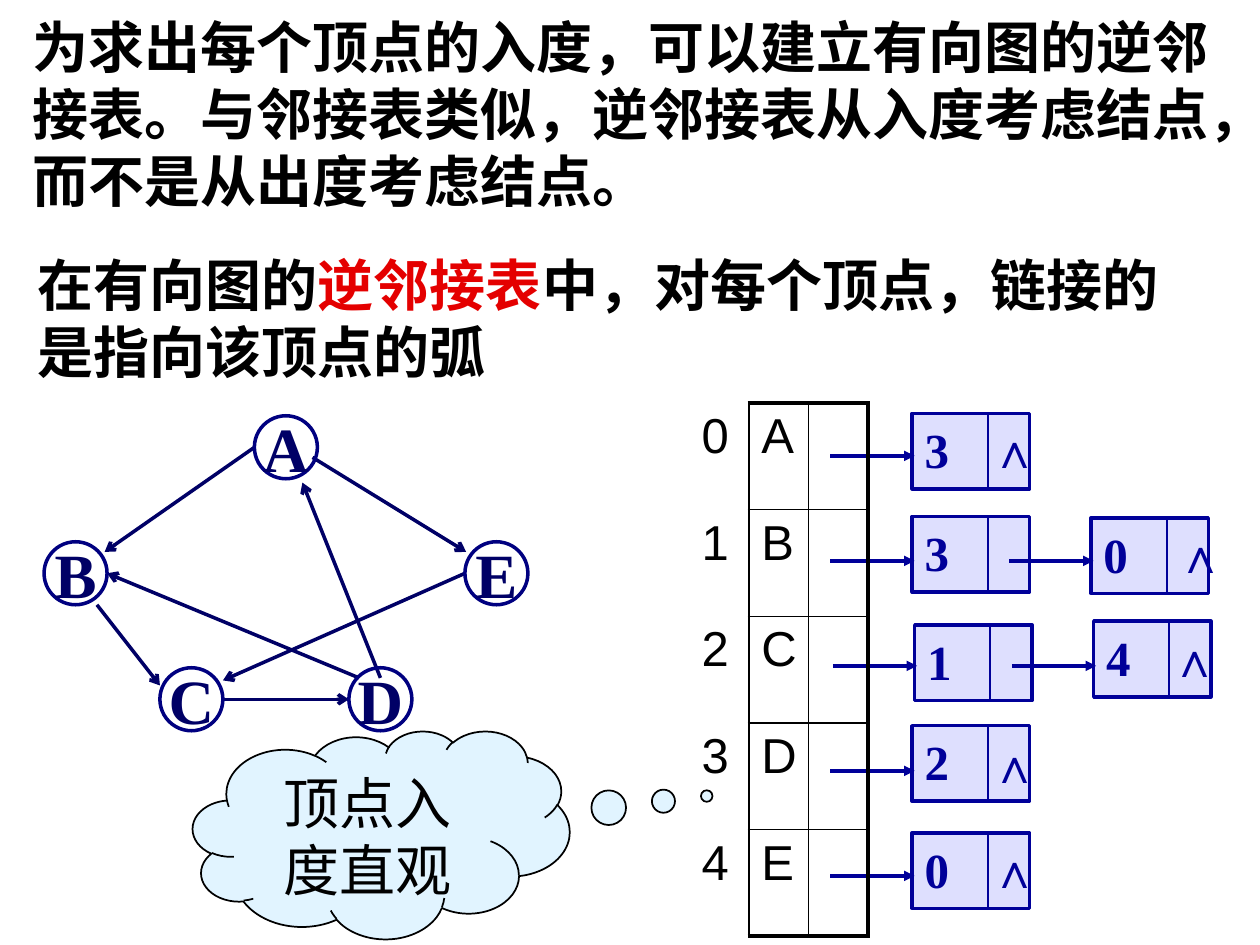
from lxml import etree
from pptx import Presentation
from pptx.dml.color import RGBColor
from pptx.enum.shapes import MSO_CONNECTOR, MSO_SHAPE
from pptx.enum.text import MSO_ANCHOR, MSO_AUTO_SIZE, PP_ALIGN
from pptx.oxml.ns import qn
from pptx.util import Pt

STRAIGHT = MSO_CONNECTOR.STRAIGHT
OVAL, BOX, CLOUD = MSO_SHAPE.OVAL, MSO_SHAPE.RECTANGLE, MSO_SHAPE.CLOUD_CALLOUT
TOP, MIDDLE = MSO_ANCHOR.TOP, MSO_ANCHOR.MIDDLE
LEFT, CENTER = PP_ALIGN.LEFT, PP_ALIGN.CENTER
GROW = MSO_AUTO_SIZE.SHAPE_TO_FIT_TEXT

COLORS = {"black": "000000", "red": "E40000", "edge": "000066", "ring": "000080",
          "list": "000099", "node": "BEC1FE", "cloud": "E1F4FF"}
SERIF, SANS, CHINESE = "Times New Roman", "Arial", "Noto Sans CJK SC"

PASSAGES = [
    (11.5, 3.6, 705.6, 122.4,
     [("为求出每个顶点的入度，可以建立有向图的逆邻接表。与邻接表类似，"
       "逆邻接表从入度考虑结点，而不是从出度考虑结点。", "black")]),
    (14.4, 139.7, 686.2, 84.2,
     [("在有向图的", "black"), ("逆邻接表", "red"),
      ("中，对每个顶点，链接的是指向该顶点的弧", "black")]),
]
VERTICES = {"A": (145.4, 237.6), "B": (25.2, 309.6), "E": (265.7, 309.6),
            "C": (91.4, 381.6), "D": (199.4, 381.6)}
ARCS = [
    (145.4, 255.6, 59.8, 315.4),
    (55.4, 345.6, 91.4, 391.7),
    (127.4, 399.6, 199.4, 399.6),
    (217.4, 387.4, 172.8, 275.8),
    (178.6, 261.4, 266.4, 315.4),
    (205.2, 387.4, 61.2, 327.6),
    (265.7, 327.6, 127.4, 388.8),
]
HEADS = ["A", "B", "C", "D", "E"]
CHAINS = [
    [(521.3, 236.2, "3")],
    [(521.3, 295.2, "3"), (623.5, 295.9, "0")],
    [(522.7, 357.1, "1"), (625, 355, "4")],
    [(521.3, 414.7, "2")],
    [(521.3, 475.9, "0")],
]
END_MARKS = [(558.7, 236.2), (665.3, 295.9), (661.7, 355.7), (558.7, 416.2), (558.7, 475.9)]
RING, NODE_W, NODE_H, DIVIDER = 36, 67, 43.2, 43.2
FIRST_LINK, LINK_STEP = 260.5, 60
COLUMN, ROW = 34.08, 60.9


def rgb(name):
    return RGBColor.from_string(COLORS[name])


def set_font(font, face, size, color, bold=False):
    font.name, font.size, font.bold = face, Pt(size), bold
    font.color.rgb = rgb(color)


def connect(slide, x1, y1, x2, y2, color, width, head=None):
    link = slide.shapes.add_connector(STRAIGHT, Pt(x1), Pt(y1), Pt(x2), Pt(y2))
    link.line.color.rgb = rgb(color)
    link.line.width = Pt(width)
    if head:
        etree.SubElement(link.line._get_or_add_ln(), qn("a:tailEnd"), type=head)
    etree.SubElement(link._element.spPr, qn("a:effectLst"))


def add_figure(slide, kind, left, top, width, height, text, face, size, color,
               line, weight, fill=None, bold=True, align=CENTER, anchor=MIDDLE, wrap=True):
    figure = slide.shapes.add_shape(kind, Pt(left), Pt(top), Pt(width), Pt(height))
    figure.shadow.inherit = False
    if fill:
        figure.fill.solid()
        figure.fill.fore_color.rgb = rgb(fill)
    else:
        figure.fill.background()
    figure.line.color.rgb = rgb(line)
    figure.line.width = Pt(weight)
    frame = figure.text_frame
    frame.word_wrap, frame.vertical_anchor = wrap, anchor
    paragraph = frame.paragraphs[0]
    paragraph.text, paragraph.alignment = text, align
    set_font(paragraph.font, face, size, color, bold)
    return figure


def add_passage(slide, left, top, width, height, pieces):
    frame = slide.shapes.add_textbox(Pt(left), Pt(top), Pt(width), Pt(height)).text_frame
    frame.word_wrap = True
    for text, color in pieces:
        run = frame.paragraphs[0].add_run()
        run.text = text
        set_font(run.font, CHINESE, 32, color, True)
        etree.SubElement(run.font._element, qn("a:ea"), typeface=CHINESE)


def add_graph(slide):
    for arc in ARCS:
        connect(slide, *arc, "edge", 2, "arrow")
    for vertex, (left, top) in VERTICES.items():
        add_figure(slide, OVAL, left, top, RING, RING, vertex, SERIF, 36, "edge",
                   "ring", 2, wrap=False)


def add_chains(slide):
    for row, chain in enumerate(CHAINS):
        link_y = FIRST_LINK + row * LINK_STEP
        for left, top, index in chain:
            node = add_figure(slide, BOX, left, top, NODE_W, NODE_H, index, SERIF, 28,
                              "list", "list", 2, "node", align=LEFT, anchor=TOP)
            tint = node._element.spPr.find(qn("a:solidFill"))[0]
            etree.SubElement(tint, qn("a:alpha"), val="50000")
            x = left + DIVIDER
            connect(slide, x, top + 0.7, x, top + 42.5, "list", 1)
        for left, top, index in chain:
            connect(slide, left - 46.8, link_y, left + 1.4, link_y, "list", 2, "triangle")
    for left, top in END_MARKS:
        mark = slide.shapes.add_textbox(Pt(left), Pt(top), Pt(31.7), Pt(41))
        frame = mark.text_frame
        frame.word_wrap, frame.auto_size = False, GROW
        frame.paragraphs[0].text = "∧"
        set_font(frame.paragraphs[0].font, SERIF, 28, "list", True)


def set_borders(cell, widths):
    props = cell._tc.get_or_add_tcPr()
    for place, (side, width) in enumerate(zip("LRTB", widths)):
        line = etree.Element(qn(f"a:ln{side}"), w=str(Pt(width)))
        if width:
            solid = etree.SubElement(line, qn("a:solidFill"))
            etree.SubElement(solid, qn("a:srgbClr"), val=COLORS["black"])
        else:
            etree.SubElement(line, qn("a:noFill"))
        props.insert(place, line)


def add_head_table(slide):
    count = len(HEADS)
    table = slide.shapes.add_table(count, 3, Pt(393.8), Pt(230.4),
                                   Pt(3 * COLUMN), Pt(count * ROW)).table
    table.first_row = table.horz_banding = False
    style = table._tbl.tblPr.find(qn("a:tableStyleId"))
    style.text = "{2D5ABB26-0587-4C30-8999-92F81FD0307C}"
    for column in table.columns:
        column.width = Pt(COLUMN)
    for i, head in enumerate(HEADS):
        table.rows[i].height = Pt(ROW)
        upper = 2.25 if i == 0 else 1
        lower = 2.25 if i == count - 1 else 1
        borders = [(0, 1.5, 0, 0), (1.5, 1, upper, lower), (1, 2.25, upper, lower)]
        for j, (text, widths) in enumerate(zip((str(i), head, ""), borders)):
            cell = table.cell(i, j)
            cell.fill.background()
            set_borders(cell, widths)
            cell.text = text
            set_font(cell.text_frame.paragraphs[0].font, SANS, 28, "black")


def main():
    deck = Presentation()
    deck.slide_width, deck.slide_height = Pt(720), Pt(540)
    slide = deck.slides.add_slide(deck.slide_layouts[6])
    add_graph(slide)
    add_chains(slide)
    add_head_table(slide)
    cloud = add_figure(slide, CLOUD, 110.2, 417.6, 215.3, 118.8, "顶点入度直观", SANS, 32,
                       "black", "black", 1, "cloud", bold=False, anchor=TOP)
    cloud.adjustments[0], cloud.adjustments[1] = 0.864, -0.186
    for passage in PASSAGES:
        add_passage(slide, *passage)
    deck.save("out.pptx")


if __name__ == "__main__":
    main()
